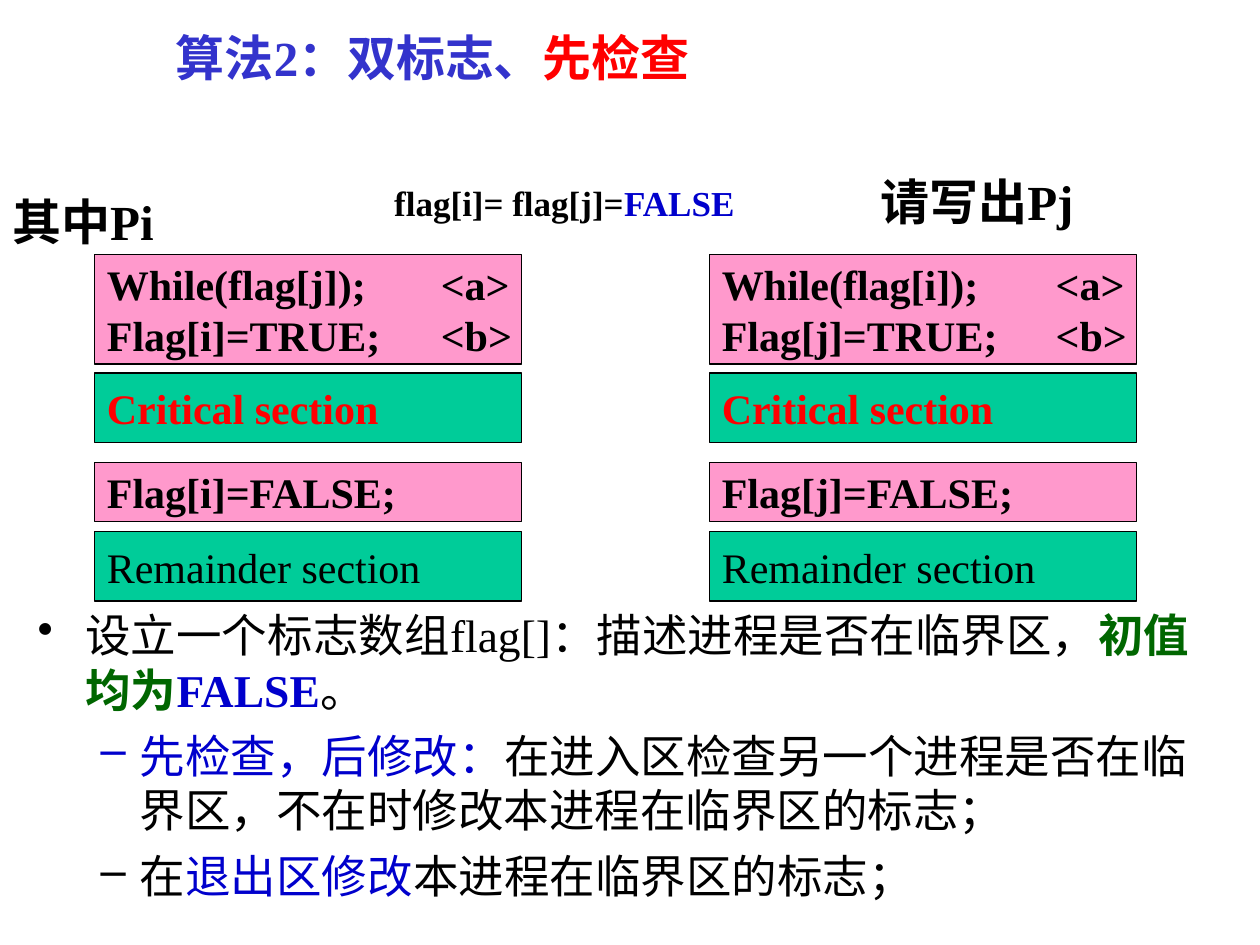
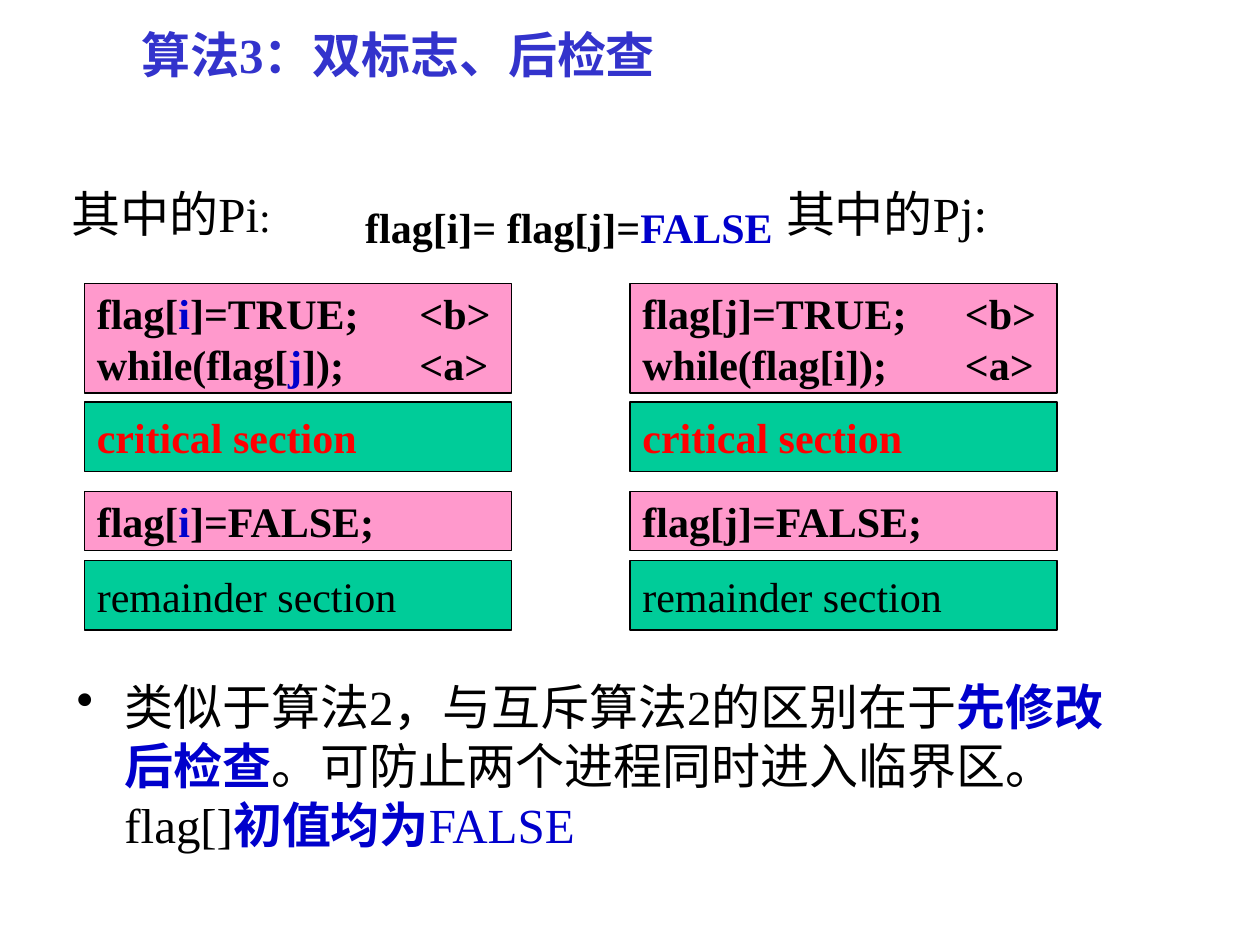
from pptx import Presentation
from pptx.util import Inches, Pt
from pptx.dml.color import RGBColor
from pptx.enum.shapes import MSO_SHAPE
from pptx.enum.text import MSO_ANCHOR, MSO_AUTO_SIZE, PP_ALIGN
from pptx.oxml.ns import qn
from lxml import etree

RECT = MSO_SHAPE.RECTANGLE
TOP, MIDDLE = MSO_ANCHOR.TOP, MSO_ANCHOR.MIDDLE
NO_FIT = MSO_AUTO_SIZE.NONE
LEFT, CENTER = PP_ALIGN.LEFT, PP_ALIGN.CENTER

BLACK = RGBColor(0x00, 0x00, 0x00)
RED = RGBColor(0xFF, 0x00, 0x00)
BLUE = RGBColor(0x00, 0x00, 0xCC)
DARK_GREEN = RGBColor(0x00, 0x66, 0x00)
TITLE_BLUE = RGBColor(0x33, 0x33, 0xCC)
PINK = RGBColor(0xFF, 0x99, 0xCC)
GREEN = RGBColor(0x00, 0xCC, 0x99)

FONT = "Times New Roman"
TITLE_ONLY = 5
# Offset from the top of the column, height and fill of each section
SECTIONS = [(0, 0.87, PINK), (0.94, 0.55, GREEN),
            (1.65, 0.47, PINK), (2.2, 0.55, GREEN)]
SECTION_WIDTH = 3.39
# Left margin, hanging indent and bullet sign of each outline level
LEVELS = [(0.38, -0.38, "•"), (0.81, -0.31, "–")]


class Deck:
    """Holds the shared style and the current slide.

    A paragraph is a list of runs (text, colour, bold[, size]).
    """

    def __init__(self):
        self.prs = Presentation()
        self.prs.slide_width, self.prs.slide_height = Inches(10), Inches(7.5)
        self.s = None

    def runs(self, p, runs, size):
        for text, color, bold, *own_size in runs:
            r = p.add_run()
            r.text = text
            f = r.font
            f.name, f.bold = FONT, bold
            f.size = Pt(own_size[0] if own_size else size)
            f.color.rgb = color

    def frame(self, tf, paragraphs, size, anchor=TOP):
        tf.word_wrap, tf.auto_size = True, NO_FIT
        tf.vertical_anchor = anchor
        tf.margin_left, tf.margin_right = Inches(0.1), 0
        tf.margin_top = tf.margin_bottom = Inches(0.05)
        for i, runs in enumerate(paragraphs):
            p = tf.paragraphs[0] if i == 0 else tf.add_paragraph()
            p.alignment = LEFT
            self.runs(p, runs, size)

    def title_slide(self, box, runs, align=LEFT):
        self.s = self.prs.slides.add_slide(self.prs.slide_layouts[TITLE_ONLY])
        sp = self.s.shapes.title
        sp.left, sp.top, sp.width, sp.height = map(Inches, box)
        self.frame(sp.text_frame, [runs], 28, MIDDLE)
        sp.text_frame.margin_right = Inches(0.1)
        sp.text_frame.paragraphs[0].alignment = align

    def label(self, box, runs, size=28):
        sp = self.s.shapes.add_textbox(*map(Inches, box))
        self.frame(sp.text_frame, [runs], size)

    def section(self, box, fill, paragraphs, tab):
        sp = self.s.shapes.add_shape(RECT, *map(Inches, box))
        sp.shadow.inherit = False
        sp.fill.solid()
        sp.fill.fore_color.rgb = fill
        sp.line.color.rgb = BLACK
        sp.line.width = Pt(0.75)
        self.frame(sp.text_frame, paragraphs, 24, MIDDLE)
        for p in sp.text_frame.paragraphs:
            if "\t" in p.text:
                tabs = etree.SubElement(p._p.get_or_add_pPr(), qn("a:tabLst"))
                etree.SubElement(tabs, qn("a:tab"), pos=str(Inches(tab)), algn="l")

    def process(self, left, top, entry, critical, leave, remainder, tab):
        """Draws one process as a column of four sections."""
        texts = [entry, [[(critical, RED, True)]],
                 [leave], [[(remainder, BLACK, False)]]]
        for (offset, height, fill), paragraphs in zip(SECTIONS, texts):
            self.section((left, top + offset, SECTION_WIDTH, height),
                         fill, paragraphs, tab)

    def bullets(self, box, items, size):
        """Each item is (level, runs); a bullet takes its first run's colour."""
        tf = self.s.shapes.add_textbox(*map(Inches, box)).text_frame
        self.frame(tf, [runs for _, runs in items], size)
        tf.margin_right = Inches(0.1)
        for i, (p, (level, runs)) in enumerate(zip(tf.paragraphs, items)):
            margin, indent, sign = LEVELS[level]
            p.level = level
            if i:
                p.space_before = Pt(size / 4)
            pPr = p._p.get_or_add_pPr()
            pPr.set("marL", str(Inches(margin)))
            pPr.set("indent", str(Inches(indent)))
            color = etree.SubElement(pPr, qn("a:buClr"))
            etree.SubElement(color, qn("a:srgbClr"), val=str(runs[0][1]))
            etree.SubElement(pPr, qn("a:buChar"), char=sign)


def code(*parts):
    """Bold code runs, alternately black and blue."""
    return [(text, (BLACK, BLUE)[i % 2], True) for i, text in enumerate(parts)]


def check_first(deck):
    deck.title_slide((1.09, 0.16, 4.69, 0.58),
                     [("算法2：双标志、", TITLE_BLUE, True),
                      ("先检查", RED, True)], CENTER)
    # Two processes
    deck.label((0, 1.47, 1.53, 0.57), [("其中Pi", BLACK, True)])
    deck.label((6.89, 1.31, 2.21, 0.57), [("请写出Pj", BLACK, True)])
    for left, own, other in ((0.75, "i", "j"), (5.63, "j", "i")):
        deck.process(left, 2.02,
                     [code(f"While(flag[{other}]);\t<a>"),
                      code(f"Flag[{own}]=TRUE;\t<b>")],
                     "Critical section", code(f"Flag[{own}]=FALSE;"),
                     "Remainder section", tab=2.65)
    deck.label((3.03, 1.39, 2.92, 0.44), code("flag[i]= flag[j]=", "FALSE"), 20)
    # Explanation
    deck.bullets((0.2, 4.77, 9.48, 2.7), [
        (0, [("设立一个标志数组flag[]：描述进程是否在临界区，", BLACK, False),
             ("初值均为", DARK_GREEN, True), ("FALSE", BLUE, True),
             ("。", BLACK, False)]),
        (1, [("先检查，后修改：", BLUE, False),
             ("在进入区检查另一个进程是否在临界区，不在时修改本进程在临界区的标志；",
              BLACK, False)]),
        (1, [("在", BLACK, False), ("退出区修改", BLUE, False),
             ("本进程在临界区的标志；", BLACK, False)]),
    ], 26)


def check_later(deck):
    deck.title_slide((1.02, 0.23, 5.55, 0.39),
                     [("算法3：双标志、后检查", TITLE_BLUE, True)])
    # Two processes, the first with its indices in blue
    deck.label((0.47, 1.41, 1.87, 0.57),
               [("其中的Pi", BLACK, False), (":", BLACK, False, 24)])
    columns = [
        (0.67, code("flag[", "i", "]=TRUE;\t<b>"),
         code("while(flag[", "j", "]);\t<a>"), code("flag[", "i", "]=FALSE;")),
        (5, code("flag[j]=TRUE;\t<b>"),
         code("while(flag[i]);\t<a>"), code("flag[j]=FALSE;")),
    ]
    for left, set_flag, wait, clear_flag in columns:
        deck.process(left, 2.25, [set_flag, wait], "critical section",
                     clear_flag, "remainder section", tab=2.56)
    deck.label((2.8, 1.55, 3.46, 0.5), code("flag[i]= flag[j]=", "FALSE"), 24)
    deck.label((6.14, 1.41, 1.89, 0.57), [("其中的Pj:", BLACK, False)])
    # Explanation
    deck.bullets((0.51, 5.32, 8.5, 1.92), [
        (0, [("类似于算法2，与互斥算法2的区别在于", BLACK, False),
             ("先修改后检查", BLUE, True),
             ("。可防止两个进程同时进入临界区。 flag[]", BLACK, False),
             ("初值均为", BLUE, True), ("FALSE", BLUE, False)]),
    ], 28)


def main():
    deck = Deck()
    check_first(deck)
    check_later(deck)
    deck.prs.save("out.pptx")


if __name__ == "__main__":
    main()
